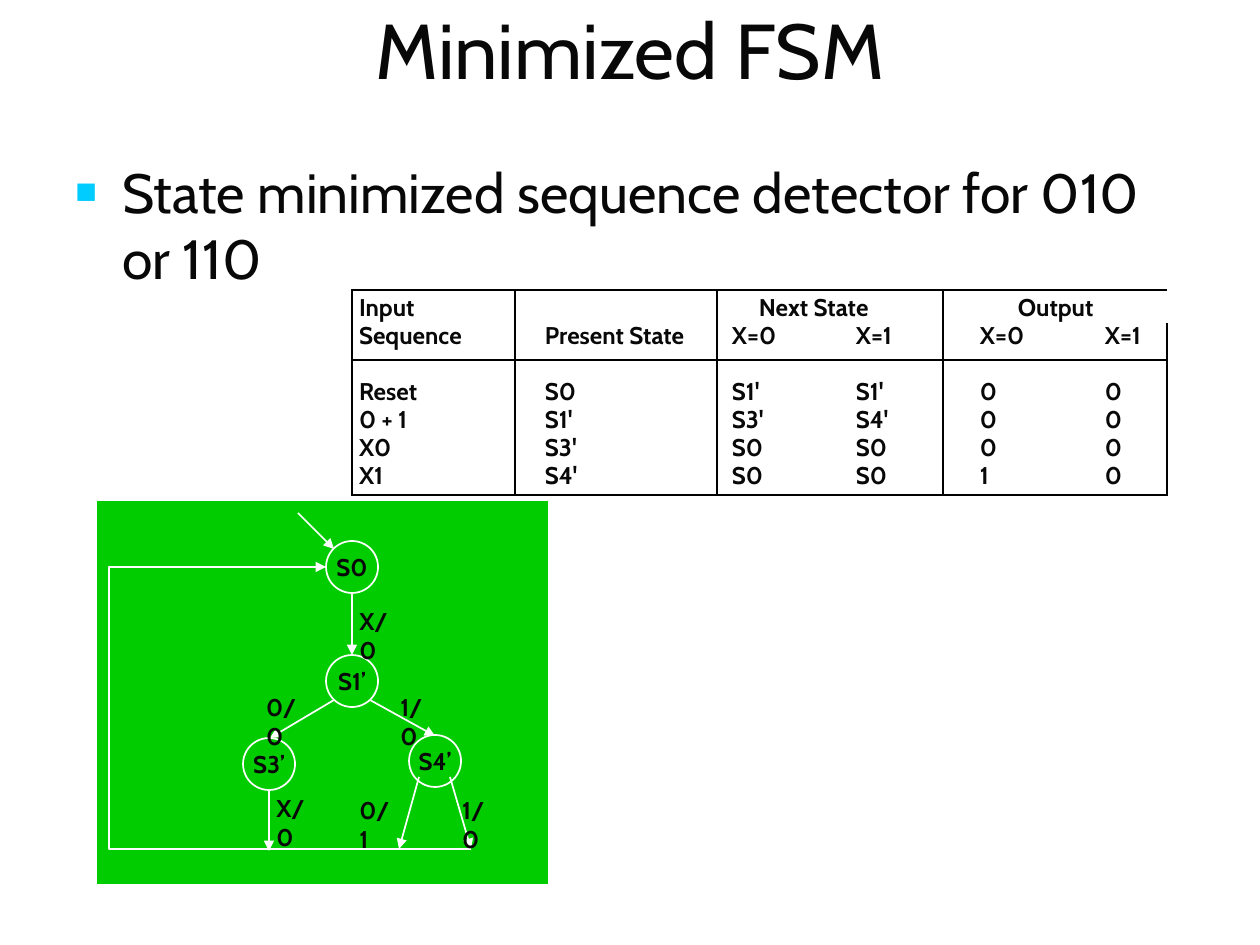
import pptx
import pptx.dml.color
import pptx.enum.dml
import pptx.enum.shapes
import pptx.enum.text
import pptx.oxml
import pptx.oxml.ns
import pptx.util
import lxml.etree

PX = 914400 / 124.3
INK = pptx.dml.color.RGBColor(0x08, 0x08, 0x08)
BLACK = pptx.dml.color.RGBColor(0, 0, 0)
WHITE = pptx.dml.color.RGBColor(0xFF, 0xFF, 0xFF)
GREEN = pptx.dml.color.RGBColor(0, 0xCC, 0)
CYAN = pptx.dml.color.RGBColor(0, 0xCC, 0xFF)
Pt = pptx.util.Pt
ANCHOR = pptx.enum.text.MSO_ANCHOR
ALIGN = pptx.enum.text.PP_ALIGN
SHAPE = pptx.enum.shapes.MSO_SHAPE
NO_MARGINS = {"margin_left": 0, "margin_right": 0, "margin_top": 0, "margin_bottom": 0}
SMALL = {"name": "Cabin", "size": Pt(14), "bold": True}
qn = pptx.oxml.ns.qn


def write(paragraph, text, font_format, paragraph_format):
    run = paragraph.add_run()
    run.text = text
    run.font.color.rgb = INK
    for target, values in ((run.font, font_format), (paragraph, paragraph_format)):
        for key, value in values.items():
            setattr(target, key, value)


def draw_arrow(path):
    path.line.color.rgb = WHITE
    path.line.width = Pt(1)
    properties = path._element.spPr
    lxml.etree.SubElement(properties.find(qn("a:ln")), qn("a:tailEnd"), type="triangle")
    lxml.etree.SubElement(properties, qn("a:effectLst"))


deck = pptx.Presentation()
deck.slide_width, deck.slide_height = round(1260 * PX), round(945 * PX)
slide = deck.slides.add_slide(deck.slide_layouts[1])
shapes = slide.shapes

# Title and bullet
title, statement = slide.placeholders
for part, place, anchor in (
    (title, (0, -46, 1260, 189), ANCHOR.MIDDLE),
    (statement, (63, 152, 1134, 567), ANCHOR.TOP),
):
    for key, value in zip(("left", "top", "width", "height"), place):
        setattr(part, key, round(value * PX))
    part.text_frame.vertical_anchor = anchor
    part.text_frame.auto_size = pptx.enum.text.MSO_AUTO_SIZE.NONE
write(title.text_frame.paragraphs[0], "Minimized FSM",
      {"name": "Cabin", "size": Pt(45)}, {"alignment": ALIGN.CENTER})
bullet = statement.text_frame.paragraphs[0]
write(bullet, "State minimized sequence detector for 010 or 110",
      {"name": "Cabin", "size": Pt(32)}, {"space_before": Pt(8)})
bullet_format = bullet._p.get_or_add_pPr()
bullet_format.set("marL", str(round(47 * PX)))
bullet_format.set("indent", str(round(-47 * PX)))
bullet_color = lxml.etree.SubElement(bullet_format, qn("a:buClr"))
lxml.etree.SubElement(bullet_color, qn("a:srgbClr"), val=str(CYAN))
lxml.etree.SubElement(bullet_format, qn("a:buSzPct"), val="65000")
lxml.etree.SubElement(bullet_format, qn("a:buChar"), char="■")

# State diagram panel
panel = shapes.add_shape(SHAPE.RECTANGLE, *(round(v * PX) for v in (96, 500, 453, 385)))
panel.shadow.inherit = False
panel.fill.solid()
panel.fill.fore_color.rgb = GREEN
panel.line.color.rgb = WHITE
panel.line.width = Pt(0.75)

# State table
STATES = [
    ["Input", "", "Next State", "", "Output", ""],
    ["Sequence", "Present State", "X=0", "X=1", "X=0", "X=1"],
    ["Reset", "S0", "S1'", "S1'", "0", "0"],
    ["0 + 1", "S1'", "S3'", "S4'", "0", "0"],
    ["X0", "S3'", "S0", "S0", "0", "0"],
    ["X1", "S4'", "S0", "S0", "1", "0"],
]
COLUMN_EDGES = [352, 515, 717, 848, 943, 1098, 1167]
ROW_EDGES = [290, 323, 360, 407, 435, 463, 495]
TEXT_LEFTS = [359, 545, 732, 856, 980, 1105]
HEADING_LEFTS = {"Next State": 759, "Output": 1018}
RULED_COLUMNS = (0, 1, 2, 4, 6)
RULED_ROWS = (0, 2, 6)
table = shapes.add_table(6, 6, *(round(v * PX) for v in (352, 290, 815, 205))).table
for key, value in {"first_row": False, "horz_banding": False}.items():
    setattr(table, key, value)
for sizes, edges, key in ((table.columns, COLUMN_EDGES, "width"), (table.rows, ROW_EDGES, "height")):
    for i, part in enumerate(sizes):
        setattr(part, key, round((edges[i + 1] - edges[i]) * PX))
for column in (2, 4):
    table.cell(0, column).merge(table.cell(0, column + 1))
for r, row in enumerate(STATES):
    for c, text in enumerate(row):
        cell = table.cell(r, c)
        text_left = HEADING_LEFTS.get(text, TEXT_LEFTS[c])
        cell_format = NO_MARGINS | {
            "margin_left": round((text_left - COLUMN_EDGES[c]) * PX),
            "vertical_anchor": ANCHOR.BOTTOM if r in (0, 2) else ANCHOR.TOP,
        }
        for key, value in cell_format.items():
            setattr(cell, key, value)
        if text:
            write(cell.text_frame.paragraphs[0], text, SMALL, {"line_spacing": Pt(16)})
        else:
            cell.text_frame.paragraphs[0].font.size = Pt(14)
        borders = {"a:lnL": c in RULED_COLUMNS, "a:lnR": c + 1 in RULED_COLUMNS,
                   "a:lnT": r in RULED_ROWS, "a:lnB": r + 1 in RULED_ROWS}
        for tag, ruled in borders.items():
            border = lxml.etree.SubElement(cell._tc.get_or_add_tcPr(), qn(tag), w=str(Pt(1)))
            paint = lxml.etree.SubElement(border, qn("a:solidFill" if ruled else "a:noFill"))
            if ruled:
                lxml.etree.SubElement(paint, qn("a:srgbClr"), val=str(BLACK))
        cell.fill.background()

# States
for name, left, top in (("S0", 326, 541), ("S1’", 326, 655), ("S3’", 243, 738), ("S4’", 409, 735)):
    state = shapes.add_shape(SHAPE.OVAL, *(round(v * PX) for v in (left, top, 52, 52)))
    state.shadow.inherit = False
    state.fill.background()
    state.line.color.rgb = WHITE
    state.line.width = Pt(1)
    state_format = NO_MARGINS | {"word_wrap": False, "vertical_anchor": ANCHOR.MIDDLE}
    for key, value in state_format.items():
        setattr(state.text_frame, key, value)
    write(state.text_frame.paragraphs[0], name, SMALL, {"alignment": ALIGN.CENTER})

# Transitions
TRANSITIONS = [
    (298, 513, 334, 549),  # reset to S0
    (352, 593, 352, 655),  # S0 to S1’
    (334, 700, 270, 738),  # S1’ to S3’
    (370, 700, 435, 736),  # S1’ to S4’
    (269, 790, 269, 851),  # S3’ to the return path
    (419, 777, 399, 849),  # S4’ to the return path, 0
    (450, 777, 471, 849),  # S4’ to the return path, 1
]
for ends in TRANSITIONS:
    draw_arrow(shapes.add_connector(pptx.enum.shapes.MSO_CONNECTOR.STRAIGHT,
                                    *(round(v * PX) for v in ends)))
outline = shapes.build_freeform(471, 849, scale=PX)
outline.add_line_segments([(109, 849), (109, 567), (326, 567)], close=False)
return_path = outline.convert_to_shape()
return_path.fill.background()
draw_arrow(return_path)

# Input/output labels
LABELS = [("X/0", 347, 600), ("1/0", 388, 686), ("1/0", 450, 789),
          ("0/1", 347, 789), ("0/0", 254, 686), ("X/0", 264, 787)]
for text, left, top in LABELS:
    label = shapes.add_textbox(*(round(v * PX) for v in (left, top, 58, 41)))
    label.text_frame.word_wrap = True
    write(label.text_frame.paragraphs[0], text, SMALL, {"alignment": ALIGN.LEFT})

deck.save("out.pptx")
